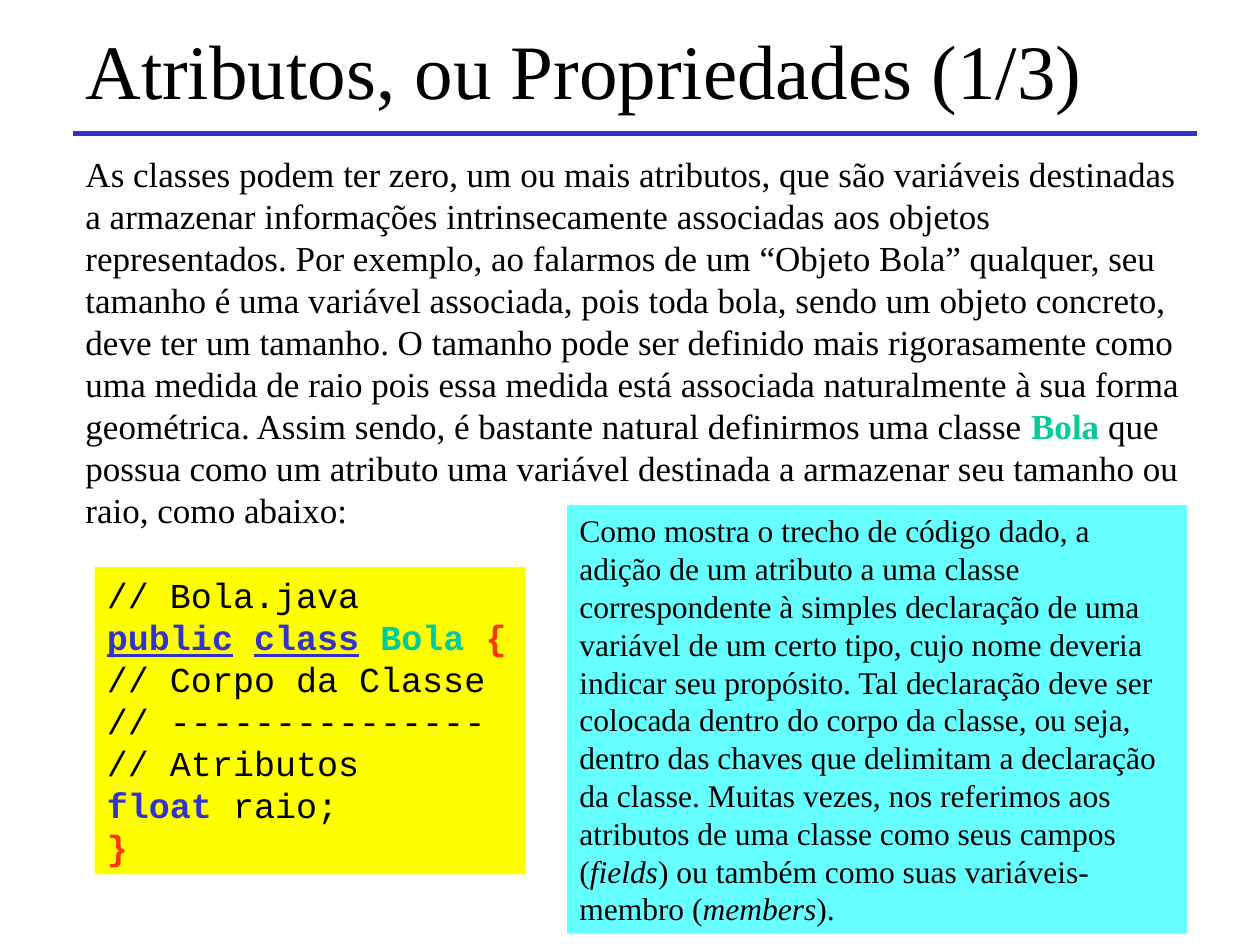
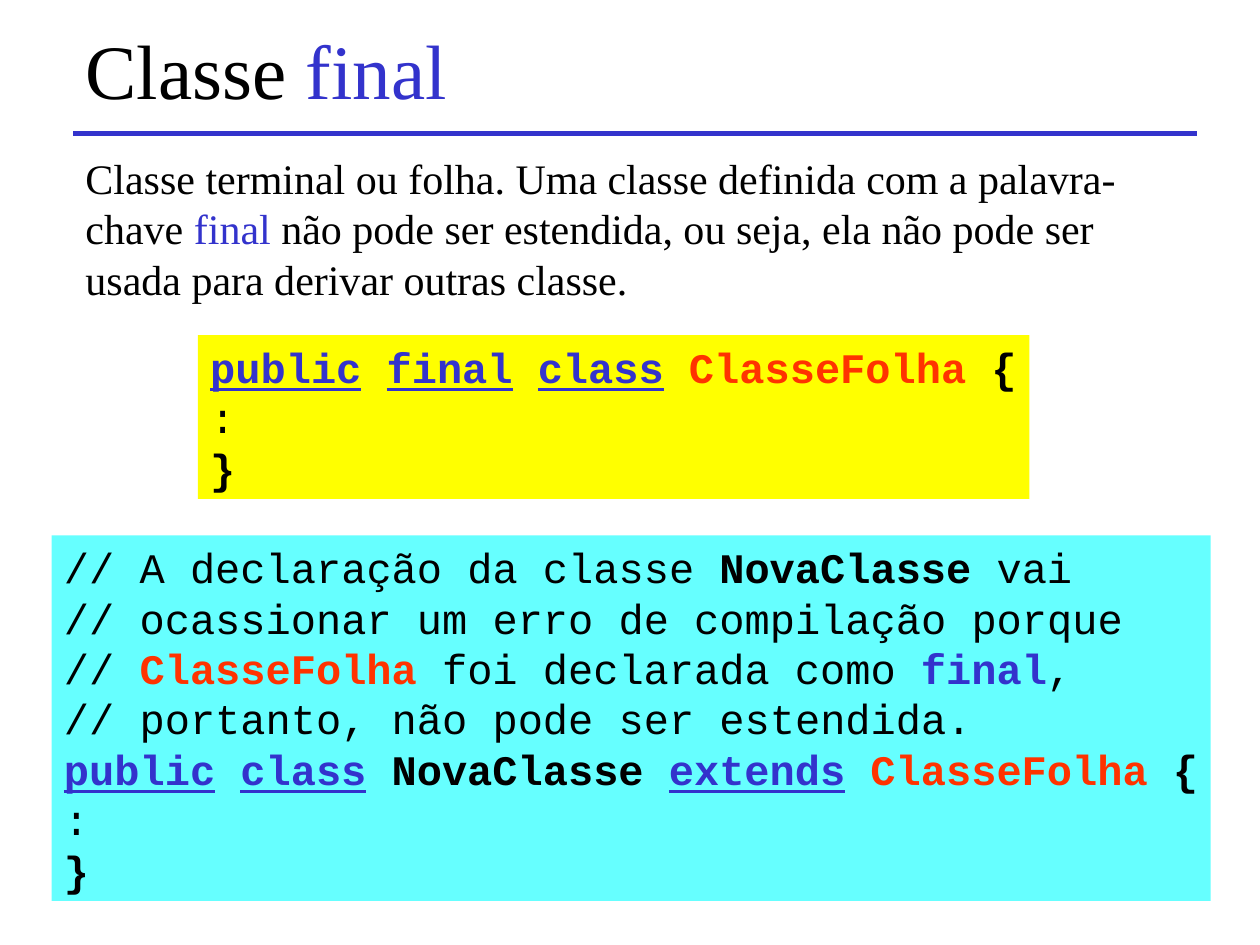
from dataclasses import dataclass

from pptx import Presentation
from pptx.dml.color import RGBColor
from pptx.enum.shapes import MSO_CONNECTOR, MSO_SHAPE
from pptx.enum.text import MSO_ANCHOR, MSO_AUTO_SIZE, PP_ALIGN
from pptx.oxml.ns import qn
from pptx.util import Inches, Pt
from lxml.etree import SubElement


@dataclass(frozen=True)
class Theme:
    black: str = "000000"
    blue: str = "3333CC"
    green: str = "00CC99"
    red: str = "FF3300"
    yellow: str = "FFFF00"
    cyan: str = "66FFFF"
    prose_font: str = "Times New Roman"
    code_font: str = "Courier New"
    title_size: int = 44
    large_size: int = 24
    medium_size: int = 20
    small_size: int = 18
    line_factor: float = 1.2
    rule_width: int = 3
    left: float = 0.58
    right: float = 9.5


THEME = Theme()


@dataclass(frozen=True)
class Style:
    color: str = THEME.black
    bold: bool = False
    italic: bool = False
    underline: bool = False


PLAIN = Style()
BOLD = Style(bold=True)
ITALIC = Style(italic=True)
BLUE = Style(THEME.blue)
BLUE_BOLD = Style(THEME.blue, bold=True)
KEYWORD = Style(THEME.blue, bold=True, underline=True)
GREEN_BOLD = Style(THEME.green, bold=True)
RED_BOLD = Style(THEME.red, bold=True)


def write_text(frame, lines, size, font_name):
    """Fill a frame; each line is a list of strings or (string, Style) pairs."""
    for number, line in enumerate(lines):
        paragraph = frame.add_paragraph() if number else frame.paragraphs[0]
        paragraph.alignment = PP_ALIGN.LEFT
        paragraph.line_spacing = Pt(size * THEME.line_factor)
        for part in line:
            text, style = (part, PLAIN) if isinstance(part, str) else part
            run = paragraph.add_run()
            run.text = text
            font = run.font
            font.name, font.size = font_name, Pt(size)
            font.color.rgb = RGBColor.from_string(style.color)
            font.bold, font.italic = style.bold, style.italic
            font.underline = style.underline


def add_prose(slide, top, height, line, size, width=THEME.right - THEME.left,
              anchor=MSO_ANCHOR.TOP):
    box = slide.shapes.add_textbox(Inches(THEME.left), Inches(top),
                                   Inches(width), Inches(height))
    frame = box.text_frame
    frame.word_wrap = True
    frame.vertical_anchor = anchor
    write_text(frame, [line], size, THEME.prose_font)


def add_title(slide, line):
    add_prose(slide, 0.17, 0.75, line, THEME.title_size, width=8.5,
              anchor=MSO_ANCHOR.MIDDLE)


def add_title_rule(slide):
    y = Inches(1.06)
    rule = slide.shapes.add_connector(MSO_CONNECTOR.STRAIGHT, Inches(THEME.left), y,
                                      Inches(THEME.right), y)
    rule.line.color.rgb = RGBColor.from_string(THEME.blue)
    rule.line.width = Pt(THEME.rule_width)
    SubElement(rule._element.spPr, qn("a:effectLst"))


def add_panel(slide, bounds, fill, lines, size, font_name, wrap=True):
    panel = slide.shapes.add_shape(MSO_SHAPE.RECTANGLE, *map(Inches, bounds))
    panel.shadow.inherit = False
    panel.fill.solid()
    panel.fill.fore_color.rgb = RGBColor.from_string(fill)
    panel.line.fill.background()
    frame = panel.text_frame
    frame.word_wrap = wrap
    frame.auto_size = MSO_AUTO_SIZE.SHAPE_TO_FIT_TEXT
    frame.vertical_anchor = MSO_ANCHOR.TOP if wrap else MSO_ANCHOR.MIDDLE
    write_text(frame, lines, size, font_name)


def add_topic_slide(deck, title, intro, intro_size, intro_height):
    slide = deck.slides.add_slide(deck.slide_layouts[6])
    add_title(slide, title)
    add_prose(slide, 1.16, intro_height, intro, intro_size)
    add_title_rule(slide)
    return slide


def add_attributes_slide(deck):
    intro = [
        "As classes podem ter zero, um ou mais atributos, que são variáveis "
        "destinadas a armazenar informações intrinsecamente associadas aos objetos "
        "representados. Por exemplo, ao falarmos de um “Objeto Bola” qualquer, seu "
        "tamanho é uma variável associada, pois toda bola, sendo um objeto concreto, "
        "deve ter um tamanho. O tamanho pode ser definido mais rigorasamente como "
        "uma medida de raio pois essa medida está associada naturalmente à sua forma "
        "geométrica. Assim sendo, é bastante natural definirmos uma classe ",
        ("Bola", GREEN_BOLD),
        " que possua como um atributo uma variável destinada a armazenar seu tamanho "
        "ou raio, como abaixo:",
    ]
    explanation = [
        "Como mostra o trecho de código dado, a adição de um atributo a uma classe "
        "correspondente à simples declaração de uma variável de um certo tipo, cujo "
        "nome deveria indicar seu propósito. Tal declaração deve ser colocada dentro "
        "do corpo da classe, ou seja, dentro das chaves que delimitam a declaração "
        "da classe. Muitas vezes, nos referimos aos atributos de uma classe como "
        "seus campos (",
        ("fields", ITALIC),
        ") ou também como suas variáveis-membro (",
        ("members", ITALIC),
        ").",
    ]
    ball_class = [
        ["// Bola.java"],
        [("public", KEYWORD), " ", ("class", KEYWORD), " ", ("Bola ", GREEN_BOLD),
         ("{", RED_BOLD)],
        ["// Corpo da Classe"],
        ["// ---------------"],
        ["// Atributos"],
        [("float", BLUE_BOLD), " raio;"],
        [("}", RED_BOLD)],
    ]
    slide = add_topic_slide(deck, ["Atributos, ou Propriedades (1/3)"], intro,
                            THEME.medium_size, 3.1)
    add_panel(slide, (4.5, 4.01, 4.92, 3.4), THEME.cyan, [explanation],
              THEME.small_size, THEME.prose_font)
    add_panel(slide, (0.75, 4.5, 3.42, 2.44), THEME.yellow, ball_class,
              THEME.medium_size, THEME.code_font)


def add_final_class_slide(deck):
    intro = [
        "Classe terminal ou folha. Uma classe definida com a palavra-chave ",
        ("final", BLUE),
        " não pode ser estendida, ou seja, ela não pode ser usada para derivar "
        "outras classe.",
    ]
    empty_body = [[":"], [("}", BOLD)]]
    leaf_opening = [("ClasseFolha ", RED_BOLD), ("{", BOLD)]
    leaf_class = [
        [("public", KEYWORD), " ", ("final", KEYWORD), " ", ("class", KEYWORD), " ",
         *leaf_opening],
        *empty_body,
    ]
    invalid_subclass = [
        ["// A declaração da classe ", ("NovaClasse", BOLD), " vai"],
        ["// ocassionar um erro de compilação porque"],
        ["// ", ("ClasseFolha", RED_BOLD), " foi declarada como ",
         ("final", BLUE_BOLD), ","],
        ["// portanto, não pode ser estendida."],
        [("public", KEYWORD), " ", ("class", KEYWORD), " ", ("NovaClasse ", BOLD),
         ("extends", KEYWORD), " ", *leaf_opening],
        *empty_body,
    ]
    slide = add_topic_slide(deck, ["Classe ", ("final", BLUE)], intro,
                            THEME.large_size, 1.3)
    add_panel(slide, (1.57, 2.66, 6.6, 1.3), THEME.yellow, leaf_class,
              THEME.large_size, THEME.code_font, wrap=False)
    add_panel(slide, (0.41, 4.25, 9.2, 2.9), THEME.cyan, invalid_subclass,
              THEME.large_size, THEME.code_font, wrap=False)


def main():
    deck = Presentation()
    deck.slide_width, deck.slide_height = Inches(10), Inches(7.5)
    add_attributes_slide(deck)
    add_final_class_slide(deck)
    deck.save("out.pptx")


if __name__ == "__main__":
    main()
